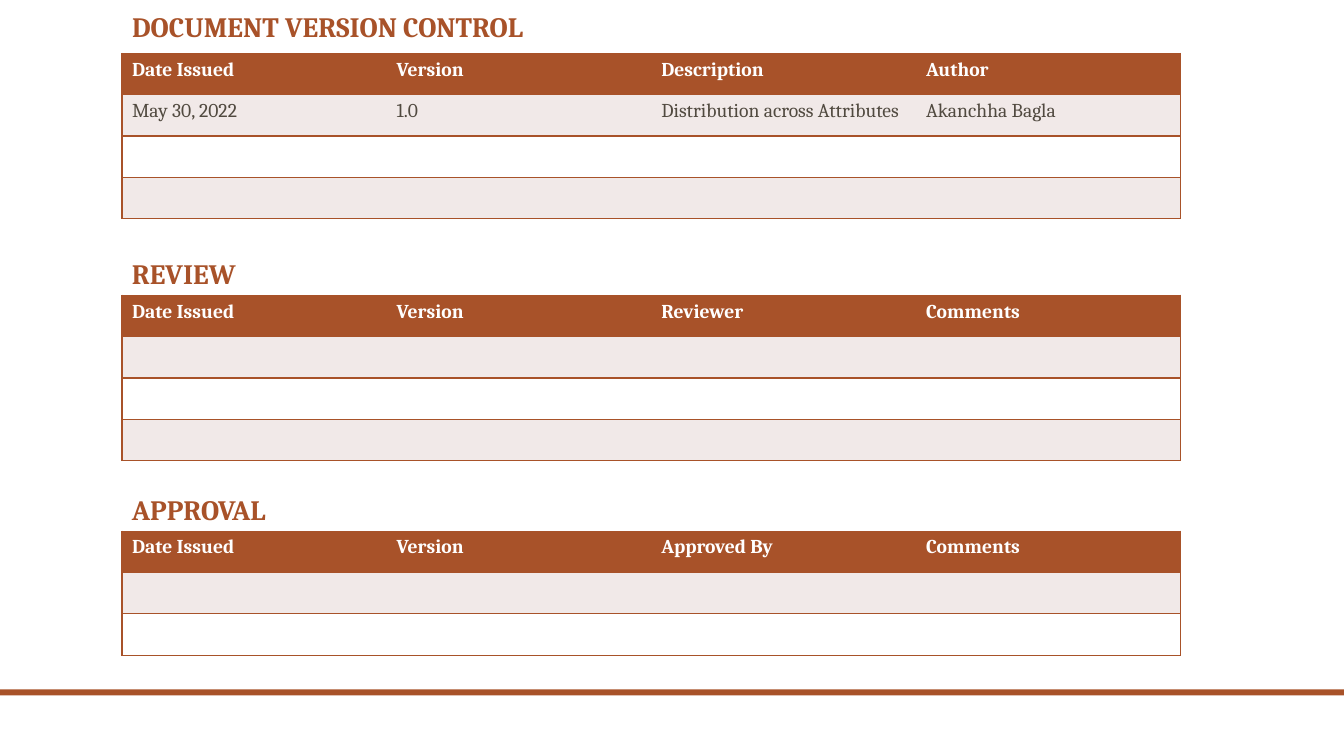
import pptx
import pptx.util
import pptx.dml.color
import pptx.enum.shapes
import pptx.enum.text
import pptx.oxml
import pptx.oxml.ns
from dataclasses import dataclass
from pptx.util import Inches


@dataclass(frozen=True)
class Theme:
    font: str = "Cambria"
    accent: str = "A85229"
    band: str = "F1E9E8"
    white: str = "FFFFFF"
    body: str = "514A40"
    heading_size: int = 20
    table_size: int = 14


theme = Theme()


def format_text(paragraph, size, color, bold):
    for run in paragraph.runs:
        run.font.name = theme.font
        run.font.size = pptx.util.Pt(size)
        run.font.bold = bold
        run.font.color.rgb = pptx.dml.color.RGBColor.from_string(color)


def add_border(cell, side, visible):
    fill = f'<a:solidFill><a:srgbClr val="{theme.accent}"/></a:solidFill>' if visible else "<a:noFill/>"
    namespace = pptx.oxml.ns.nsdecls("a")
    line = pptx.oxml.parse_xml(f'<a:ln{side} {namespace} w="12700">{fill}</a:ln{side}>')
    cell._tc.get_or_add_tcPr().append(line)


LEFT, WIDTH = 1.21, 10.5
HEADING_HEIGHT, ROW_HEIGHT = 1.25, 0.41
COLUMNS = 4

sections = [
    ("DOCUMENT VERSION CONTROL", -0.77, 0.53, [
        ["Date Issued", "Version", "Description", "Author"],
        ["May 30, 2022", "1.0", "Distribution across Attributes", "Akanchha Bagla"],
        [""] * COLUMNS,
        [""] * COLUMNS,
    ]),
    ("REVIEW", 1.68, 2.93, [
        ["Date Issued", "Version", "Reviewer", "Comments"],
        [""] * COLUMNS,
        [""] * COLUMNS,
        [""] * COLUMNS,
    ]),
    ("APPROVAL", 4.02, 5.27, [
        ["Date Issued", "Version", "Approved By", "Comments"],
        [""] * COLUMNS,
        [""] * COLUMNS,
    ]),
]

presentation = pptx.Presentation()
presentation.slide_width = Inches(13.33)
presentation.slide_height = Inches(7.5)
slide = presentation.slides.add_slide(presentation.slide_layouts[5])

footer_bar = slide.shapes.add_shape(
    pptx.enum.shapes.MSO_SHAPE.RECTANGLE, 0, Inches(6.84), Inches(13.33), Inches(0.06))
footer_bar.shadow.inherit = False
footer_bar.fill.solid()
footer_bar.fill.fore_color.rgb = pptx.dml.color.RGBColor.from_string(theme.accent)
footer_bar.line.fill.background()

for index, (title, heading_top, table_top, rows) in enumerate(sections):
    heading = slide.shapes.title if index == 0 else slide.shapes.add_textbox(0, 0, 0, 0)
    heading.left, heading.top = Inches(LEFT), Inches(heading_top)
    heading.width, heading.height = Inches(WIDTH), Inches(HEADING_HEIGHT)
    text_frame = heading.text_frame
    text_frame.text = title
    text_frame.word_wrap = True
    text_frame.auto_size = pptx.enum.text.MSO_AUTO_SIZE.NONE
    text_frame.vertical_anchor = pptx.enum.text.MSO_ANCHOR.BOTTOM
    paragraph = text_frame.paragraphs[0]
    paragraph.alignment = pptx.enum.text.PP_ALIGN.LEFT
    paragraph.line_spacing = 0.9
    format_text(paragraph, theme.heading_size, theme.accent, True)

    table = slide.shapes.add_table(
        len(rows), COLUMNS, Inches(LEFT), Inches(table_top),
        Inches(WIDTH), Inches(ROW_HEIGHT * len(rows))).table
    for row_index, values in enumerate(rows):
        table.rows[row_index].height = Inches(ROW_HEIGHT)
        is_header = row_index == 0
        if is_header:
            row_fill = theme.accent
        else:
            row_fill = theme.band if row_index % 2 else theme.white
        for column_index, value in enumerate(values):
            cell = table.cell(row_index, column_index)
            add_border(cell, "L", column_index == 0)
            add_border(cell, "R", column_index == COLUMNS - 1)
            add_border(cell, "T", True)
            add_border(cell, "B", True)
            cell.fill.solid()
            cell.fill.fore_color.rgb = pptx.dml.color.RGBColor.from_string(row_fill)
            if value:
                cell.text_frame.text = value
                format_text(cell.text_frame.paragraphs[0], theme.table_size,
                            theme.white if is_header else theme.body, is_header)

presentation.save("out.pptx")
